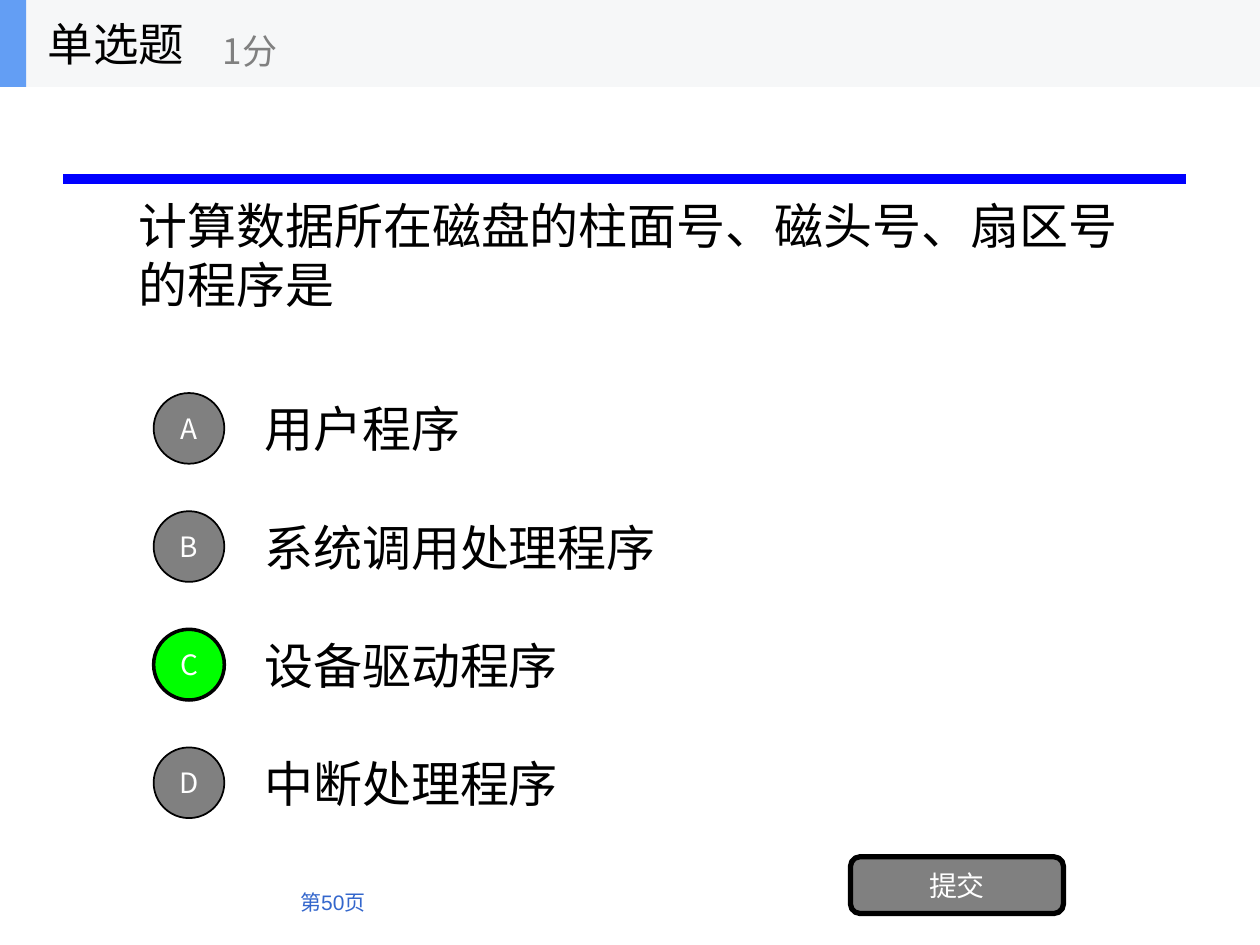
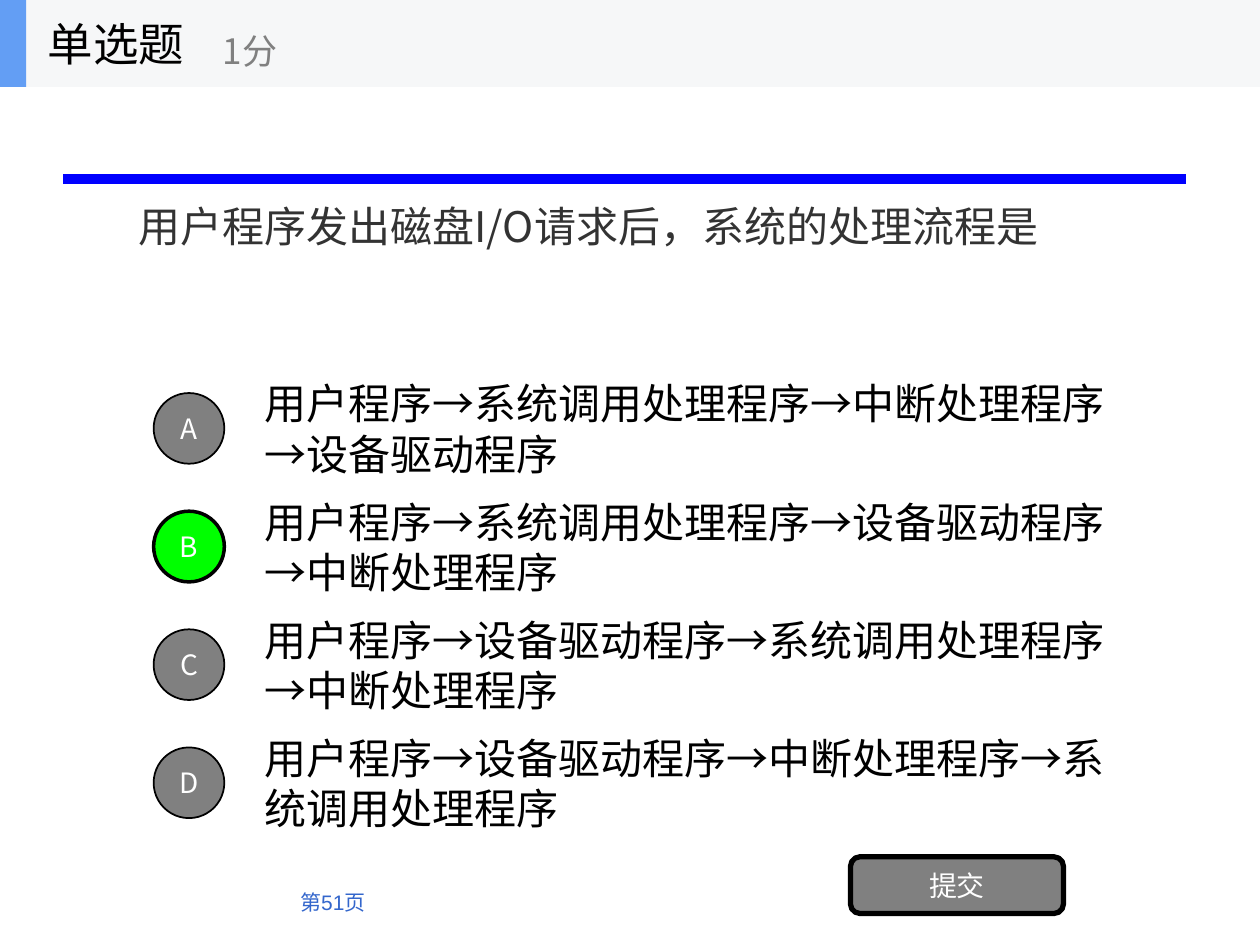
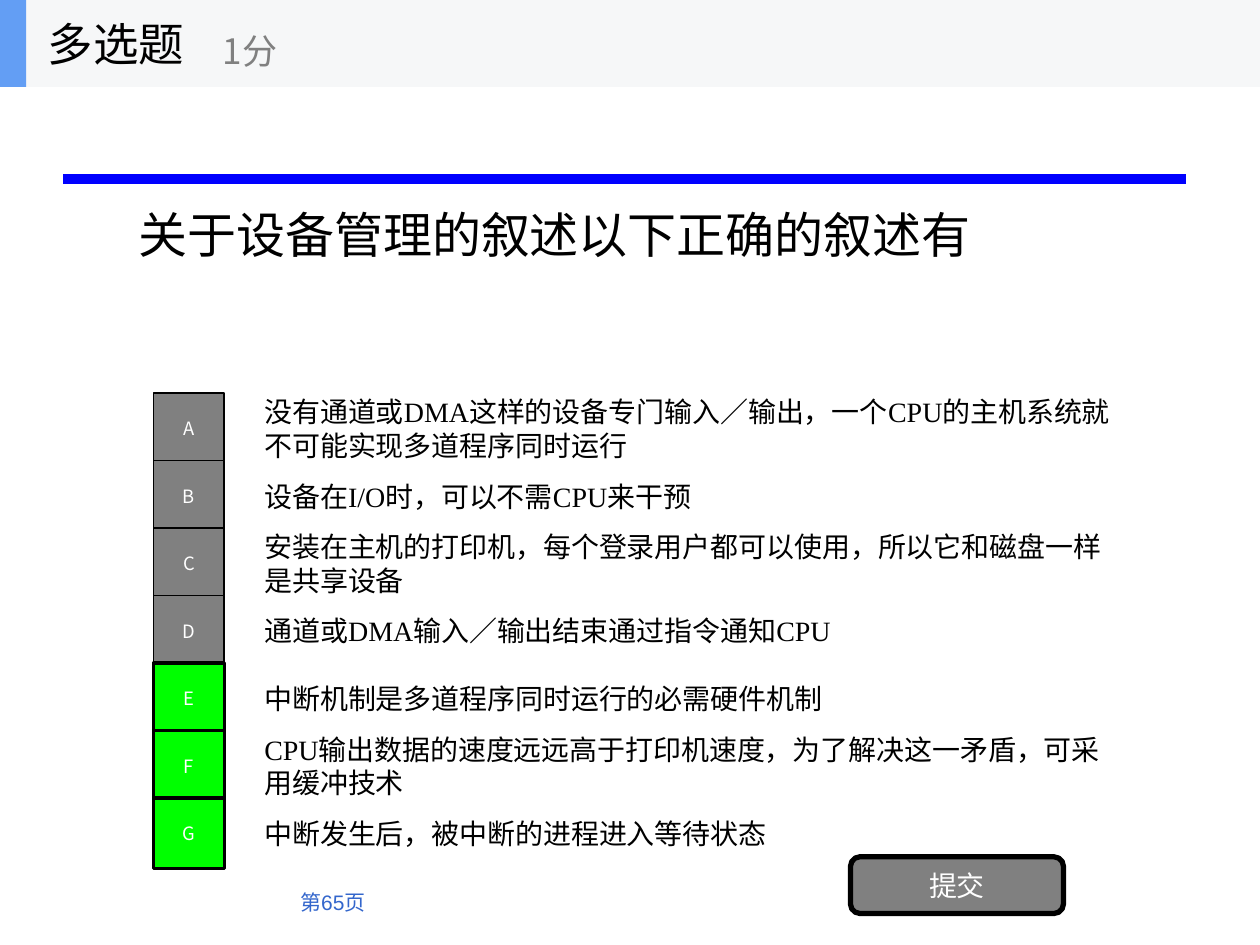
from lxml import etree
from pptx import Presentation
from pptx.dml.color import RGBColor
from pptx.enum.shapes import MSO_CONNECTOR as CONN, MSO_SHAPE as SHAPE
from pptx.enum.text import MSO_ANCHOR as ANCHOR, MSO_AUTO_SIZE as AUTO, PP_ALIGN as ALIGN
from pptx.oxml.ns import qn
from pptx.util import Pt

CJK, SERIF, SANS = "Noto Sans CJK SC", "Times New Roman", "Arial"
BLACK, WHITE, GRAY, DARK = "000000", "FFFFFF", "808080", "333333"
GREEN, RULE, PAGE, BAND, ACCENT = "00FF00", "0000FF", "3366CC", "F6F7F8", "639EF4"
BAND_H = 49.7
OPTIONS_TOP, OPTION_H, MARKER = 219.6, 50.4, 40.4

QUIZZES = [
    dict(kind="单选题", page=50, question="计算数据所在磁盘的柱面号、磁头号、扇区号的程序是",
         q_top=61.2, q_size=28, size=28, right="C",
         options=["用户程序", "系统调用处理程序", "设备驱动程序", "中断处理程序"]),
    dict(kind="单选题", page=51, question="用户程序发出磁盘I/O请求后，系统的处理流程是",
         q_top=44.6, q_size=24, q_color=DARK, size=24, right="B",
         options=["用户程序→系统调用处理程序→中断处理程序→设备驱动程序",
                  "用户程序→系统调用处理程序→设备驱动程序→中断处理程序",
                  "用户程序→设备驱动程序→系统调用处理程序→中断处理程序",
                  "用户程序→设备驱动程序→中断处理程序→系统调用处理程序"]),
    dict(kind="多选题", page=65, question="关于设备管理的叙述以下正确的叙述有",
         q_top=49.7, q_size=28, size=16, right="EFG", font=SERIF,
         marker=SHAPE.RECTANGLE, marker_size=10.5, pitch=38.55,
         options=["没有通道或DMA这样的设备专门输入／输出，一个CPU的主机系统就不可能实现多道程序同时运行",
                  "设备在I/O时，可以不需CPU来干预",
                  "安装在主机的打印机，每个登录用户都可以使用，所以它和磁盘一样是共享设备",
                  "通道或DMA输入／输出结束通过指令通知CPU",
                  "中断机制是多道程序同时运行的必需硬件机制",
                  "CPU输出数据的速度远远高于打印机速度，为了解决这一矛盾，可采用缓冲技术",
                  "中断发生后，被中断的进程进入等待状态"]),
]


def rgb(value):
    return RGBColor.from_string(value)


class Deck:
    def __init__(self):
        self.prs = Presentation()
        self.prs.slide_width, self.prs.slide_height = Pt(720), Pt(540)
        self.layout = self.prs.slide_layouts[1]
        self.s = None

    def new_slide(self):
        self.s = self.prs.slides.add_slide(self.layout)

    def fill_text(self, sp, text, size, color=BLACK, font=CJK, align=ALIGN.LEFT,
                  anchor=ANCHOR.MIDDLE):
        tf = sp.text_frame
        tf.word_wrap, tf.auto_size, tf.vertical_anchor = True, AUTO.NONE, anchor
        p = tf.paragraphs[0]
        p.alignment, p.space_before = align, Pt(0)
        r = p.add_run()
        r.text = text
        r.font.size, r.font.name = Pt(size), font
        r.font.color.rgb = rgb(color)
        rPr = r._r.get_or_add_rPr()
        rPr.set("lang", "zh-CN")
        etree.SubElement(rPr, qn("a:ea")).set("typeface", CJK)

    def text(self, box, text, size, **style):
        sp = self.s.shapes.add_textbox(*map(Pt, box))
        self.fill_text(sp, text, size, **style)

    def placeholder(self, index, box, text, size, **style):
        sp = self.s.placeholders[index]
        sp.left, sp.top, sp.width, sp.height = map(Pt, box)
        pPr = sp.text_frame.paragraphs[0]._p.get_or_add_pPr()
        pPr.set("marL", "0")
        pPr.set("indent", "0")
        etree.SubElement(pPr, qn("a:buNone"))
        self.fill_text(sp, text, size, **style)

    def shape(self, kind, box, fill, line=0):
        sp = self.s.shapes.add_shape(kind, *map(Pt, box))
        sp.shadow.inherit = False
        sp.fill.solid()
        sp.fill.fore_color.rgb = rgb(fill)
        if line:
            sp.line.color.rgb = rgb(BLACK)
            sp.line.width = Pt(line)
        else:
            sp.line.fill.background()
        return sp

    def button(self, kind, box, fill, line, text, size):
        sp = self.shape(kind, box, fill, line)
        tf = sp.text_frame
        tf.margin_left = tf.margin_right = tf.margin_top = tf.margin_bottom = 0
        self.fill_text(sp, text, size, color=WHITE, align=ALIGN.CENTER)

    def rule(self, x1, x2, y):
        cx = self.s.shapes.add_connector(CONN.STRAIGHT, Pt(x1), Pt(y), Pt(x2), Pt(y))
        cx.line.color.rgb = rgb(RULE)
        cx.line.width = Pt(6)
        etree.SubElement(cx._element.spPr, qn("a:effectLst"))
        return cx

    def share_frame(self):
        """Draw the band and rule on the current slide, then move them to the layout."""
        frame = [self.rule(36, 678, 102.2),
                 self.shape(SHAPE.RECTANGLE, (0, 0, 720, BAND_H), BAND),
                 self.shape(SHAPE.RECTANGLE, (0, 0, 15, BAND_H), ACCENT)]
        for number, sp in enumerate(frame, 101):
            sp.element.xpath("./*/p:cNvPr")[0].set("id", str(number))
            self.layout.shapes.element.append(sp.element)

    def options(self, texts, right, size, font=CJK, marker=SHAPE.OVAL,
                marker_size=16, pitch=67.5):
        for i, (letter, text) in enumerate(zip("ABCDEFG", texts)):
            top = OPTIONS_TOP + i * pitch
            fill, line = (GREEN, 2) if letter in right else (GRAY, 1)
            self.text((144, top, 504, OPTION_H), text, size, font=font)
            self.button(marker, (87.8, top + (OPTION_H - MARKER) / 2, MARKER, MARKER),
                        fill, line, letter, marker_size)

    def quiz(self, kind, page, question, q_top, q_size, options, q_color=BLACK,
             font=CJK, **style):
        self.placeholder(0, (20.2, 0, 150, BAND_H), kind, 26)
        self.text((120.2, 8.6, 180, 40.3), "1分", 20, color=GRAY)
        self.placeholder(1, (72, q_top, 576, 168.5), question, q_size,
                         color=q_color, font=font)
        self.options(options, font=font, **style)
        self.text((33.8, 490.3, 182.2, 36), f"第{page}页", 12, color=PAGE, font=SANS,
                  align=ALIGN.RIGHT, anchor=ANCHOR.BOTTOM)
        self.button(SHAPE.ROUNDED_RECTANGLE, (486, 489.6, 121.7, 32.4), GRAY, 3, "提交", 16)


def main():
    deck = Deck()
    for i, quiz in enumerate(QUIZZES):
        deck.new_slide()
        if i == 0:
            deck.share_frame()
        deck.quiz(**quiz)
    deck.prs.save("out.pptx")


if __name__ == "__main__":
    main()
